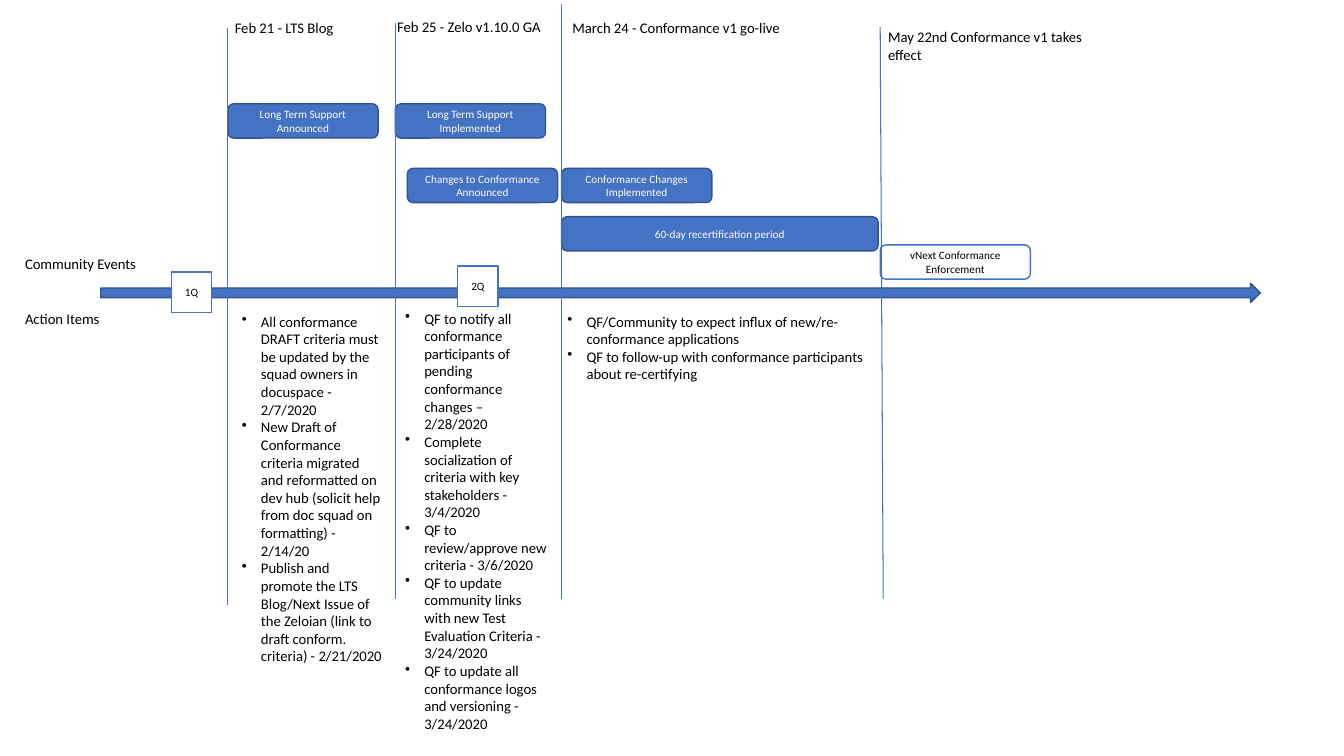
from dataclasses import dataclass
from lxml.etree import SubElement
from pptx import Presentation
from pptx.dml.color import RGBColor as RGB
from pptx.enum.shapes import MSO_CONNECTOR as Conn, MSO_SHAPE as Form
from pptx.enum.text import MSO_ANCHOR as Anchor, PP_ALIGN as Align
from pptx.oxml.ns import qn
from pptx.util import Inches, Pt


@dataclass(frozen=True)
class Theme:
    blue: RGB = RGB(0x44, 0x72, 0xC4)
    edge: RGB = RGB(0x31, 0x53, 0x8F)
    white: RGB = RGB(255, 255, 255)
    black: RGB = RGB(0, 0, 0)
    font: str = "Calibri"
    small: float = 8
    body: float = 10.5


THEME = Theme()
CARD_W, CARD_H = 1.49, 0.34

QUARTERS = [("1Q", 1.7, 2.7), ("2Q", 4.54, 2.64)]
CARDS = [
    ("Long Term Support Announced", 2.26, 1.03, CARD_W),
    ("Long Term Support Implemented", 3.92, 1.03, CARD_W),
    ("Changes to Conformance Announced", 4.04, 1.67, CARD_W),
    ("Conformance Changes Implemented", 5.57, 1.67, CARD_W),
    ("60-day recertification period", 5.57, 2.15, 3.14),
]
DATES = [
    (2.26, 0.28, 2.26, 6),
    (3.92, 0.23, 3.92, 5.94),
    (5.57, 0.04, 5.57, 5.94),
    (8.73, 0.27, 8.76, 5.94),
]
LABELS = [
    ("Feb 21 - LTS Blog", 2.23, 0.14, 1.19, False),
    ("Feb 25 - Zelo v1.10.0 GA", 3.84, 0.13, 1.73, False),
    ("March 24 - Conformance v1 go-live", 5.58, 0.14, 2.33, False),
    ("May 22nd Conformance v1 takes effect", 8.71, 0.23, 2.41, True),
    ("Community Events", 0.15, 2.48, 1.33, False),
    ("Action Items", 0.15, 3.02, 0.96, False),
]
ACTIONS = [
    (2.3, 3.05, 1.61, 3.81, [
        "All conformance DRAFT criteria must be updated by the squad owners "
        "in docuspace - 2/7/2020",
        "New Draft of Conformance criteria migrated and reformatted on "
        "dev hub (solicit help from doc squad on formatting) - 2/14/20",
        "Publish and promote the LTS Blog/Next Issue of the Zeloian "
        "(link to draft conform. criteria) - 2/21/2020",
    ]),
    (3.92, 3.02, 1.61, 5.05, [
        "QF to notify all conformance participants of pending conformance "
        "changes – 2/28/2020",
        "Complete socialization of criteria with key stakeholders - 3/4/2020",
        "QF to review/approve new criteria - 3/6/2020",
        "QF to update community links with new Test Evaluation Criteria "
        "- 3/24/2020",
        "QF to update all conformance logos and versioning - 3/24/2020",
    ]),
    (5.53, 3.05, 3.16, 1.16, [
        "QF/Community to expect influx of new/re-conformance applications",
        "QF to follow-up with conformance participants about re-certifying",
    ]),
]


def style(para, size, color):
    font = para.font
    font.name, font.size = THEME.font, Pt(size)
    font.color.rgb = color


def add_form(slide, form, box, fill, edge, text="", ink=THEME.black):
    shape = slide.shapes.add_shape(form, *map(Inches, box))
    shape.shadow.inherit = False
    shape.fill.solid()
    shape.fill.fore_color.rgb = fill
    shape.line.color.rgb = edge
    shape.line.width = Pt(1)
    if text:
        frame = shape.text_frame
        frame.text = text
        frame.word_wrap = True
        frame.vertical_anchor = Anchor.MIDDLE
        para = frame.paragraphs[0]
        para.alignment = Align.CENTER
        style(para, THEME.small, ink)


def add_date(slide, ends):
    line = slide.shapes.add_connector(Conn.STRAIGHT, *map(Inches, ends))
    line.line.color.rgb = THEME.blue
    line.line.width = Pt(0.75)
    SubElement(line._element.spPr, qn("a:effectLst"))


def add_text(slide, box, lines, wrap=True):
    frame = slide.shapes.add_textbox(*map(Inches, box)).text_frame
    frame.word_wrap = wrap
    frame.text = "\n".join(lines)
    for para in frame.paragraphs:
        style(para, THEME.body, THEME.black)
    return frame


def add_list(slide, box, items):
    for para in add_text(slide, box, items).paragraphs:
        props = para._p.get_or_add_pPr()
        props.set("marL", str(Inches(0.19)))
        props.set("indent", str(Inches(-0.19)))
        bullet = SubElement(props, qn("a:buChar"), char="•")
        rest = props.find(qn("a:defRPr"))
        if rest is not None:
            rest.addprevious(bullet)


def main():
    deck = Presentation()
    deck.slide_width, deck.slide_height = Inches(13.33), Inches(7.5)
    slide = deck.slides.add_slide(deck.slide_layouts[6])

    add_form(slide, Form.RIGHT_ARROW, (1, 2.81, 11.5, 0.19),
             THEME.blue, THEME.edge)
    for text, left, top in QUARTERS:
        add_form(slide, Form.RECTANGLE, (left, top, 0.4, 0.4),
                 THEME.white, THEME.blue, text)
    for text, left, top, width in CARDS:
        add_form(slide, Form.ROUNDED_RECTANGLE, (left, top, width, CARD_H),
                 THEME.blue, THEME.edge, text, THEME.white)
    add_form(slide, Form.ROUNDED_RECTANGLE, (8.73, 2.43, CARD_W, CARD_H),
             THEME.white, THEME.blue, "vNext Conformance Enforcement")
    for ends in DATES:
        add_date(slide, ends)
    for text, left, top, width, wrap in LABELS:
        add_text(slide, (left, top, width, 0.28), [text], wrap)
    for *box, items in ACTIONS:
        add_list(slide, box, items)

    deck.save("out.pptx")


if __name__ == "__main__":
    main()
